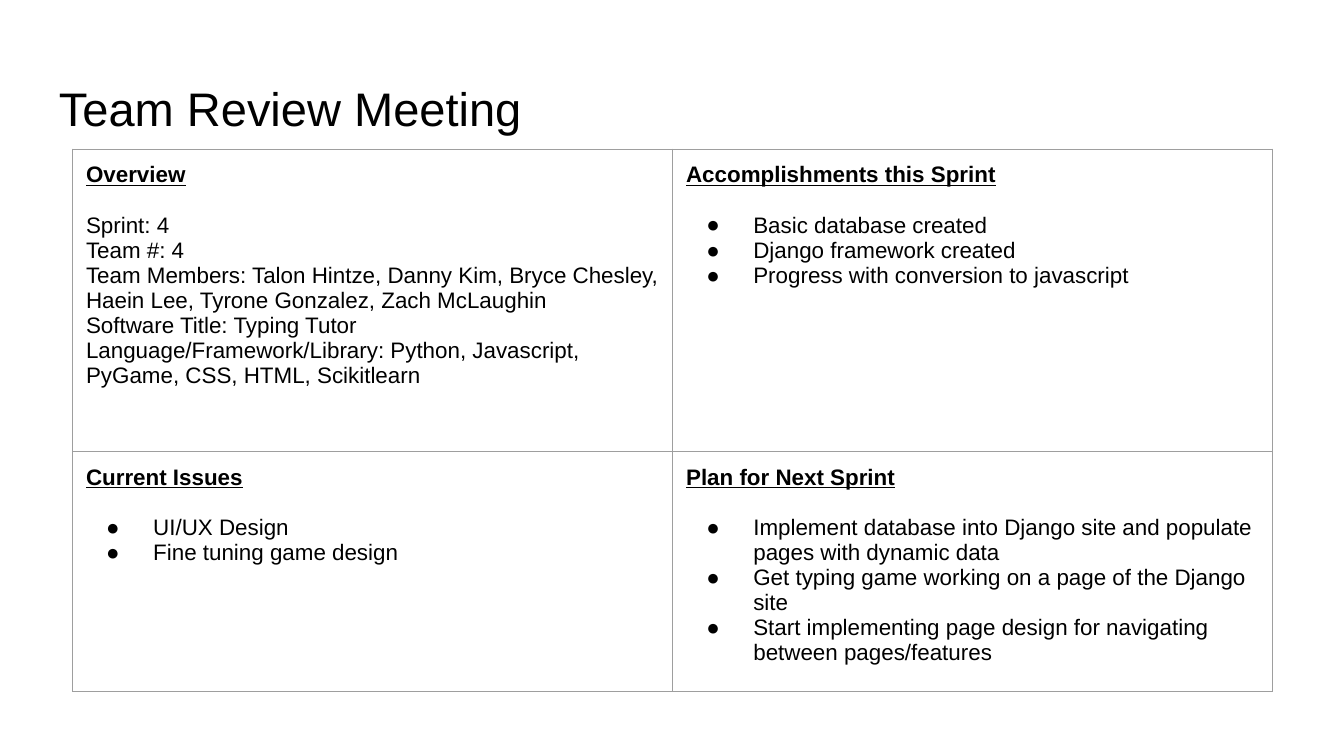
from lxml import etree
from pptx import Presentation
from pptx.dml.color import RGBColor
from pptx.enum.text import MSO_ANCHOR
from pptx.oxml.ns import qn
from pptx.util import Inches, Pt

BLACK = RGBColor(0, 0, 0)
GREY = RGBColor(0x9E, 0x9E, 0x9E)
FONT = "Arial"
PAD = 0.1

PANELS = [
    [
        ("Overview", False, [
            "Sprint: 4",
            "Team #: 4",
            "Team Members: Talon Hintze, Danny Kim, Bryce Chesley, "
            "Haein Lee, Tyrone Gonzalez, Zach McLaughin",
            "Software Title: Typing Tutor",
            "Language/Framework/Library: Python, Javascript, "
            "PyGame, CSS, HTML, Scikitlearn",
        ]),
        ("Accomplishments this Sprint", True, [
            "Basic database created",
            "Django framework created",
            "Progress with conversion to javascript",
        ]),
    ],
    [
        ("Current Issues", True, [
            "UI/UX Design",
            "Fine tuning game design",
        ]),
        ("Plan for Next Sprint", True, [
            "Implement database into Django site and populate pages with dynamic data",
            "Get typing game working on a page of the Django site",
            "Start implementing page design for navigating between pages/features",
        ]),
    ],
]


def style(para, size, head=False):
    for run in para.runs:
        font = run.font
        font.name = FONT
        font.size = Pt(size)
        font.color.rgb = BLACK
        font.bold = head
        font.underline = head
    etree.SubElement(para._p, qn("a:endParaRPr"), sz=str(round(size * 100)))


def pad(box):
    box.margin_left = box.margin_right = Inches(PAD)
    box.margin_top = box.margin_bottom = Inches(PAD)


def bullet(para):
    props = para._p.get_or_add_pPr()
    props.set("marL", str(Inches(0.5)))
    props.set("indent", str(Inches(-0.35)))
    color = etree.SubElement(props, qn("a:buClr"))
    etree.SubElement(color, qn("a:srgbClr"), val=str(BLACK))
    etree.SubElement(props, qn("a:buFont"), typeface=FONT)
    etree.SubElement(props, qn("a:buChar"), char="●")


def border(cell):
    props = cell._tc.get_or_add_tcPr()
    for i, side in enumerate(("lnL", "lnR", "lnT", "lnB")):
        line = etree.Element(qn(f"a:{side}"), w=str(Pt(0.75)))
        fill = etree.SubElement(line, qn("a:solidFill"))
        etree.SubElement(fill, qn("a:srgbClr"), val=str(GREY))
        props.insert(i, line)


def add_title(slide, text, left, top, width, height):
    box = slide.shapes.add_textbox(*map(Inches, (left, top, width, height)))
    frame = box.text_frame
    frame.word_wrap = True
    frame.vertical_anchor = MSO_ANCHOR.BOTTOM
    pad(frame)
    frame.text = text
    style(frame.paragraphs[0], 25.2)


def fill_panel(cell, head, listed, items):
    pad(cell)
    cell.fill.background()
    border(cell)
    frame = cell.text_frame
    frame.text = head
    first = frame.paragraphs[0]
    first.space_after = Pt(13.4)
    style(first, 12, head=True)
    for item in items:
        para = frame.add_paragraph()
        para.text = item
        style(para, 12)
        if listed:
            bullet(para)


def add_review(slide, panels, left, top, width, heights):
    size = map(Inches, (left, top, width, sum(heights)))
    table = slide.shapes.add_table(len(panels), len(panels[0]), *size).table
    table.first_row = table.horz_banding = False
    for r, row in enumerate(panels):
        table.rows[r].height = Inches(heights[r])
        for c, panel in enumerate(row):
            fill_panel(table.cell(r, c), *panel)


def main():
    deck = Presentation()
    deck.slide_width = Inches(10)
    deck.slide_height = deck.slide_width * 9 // 16
    slide = deck.slides.add_slide(deck.slide_layouts[6])
    add_title(slide, "Team Review Meeting", 0.34, 0.48, 9.32, 0.63)
    add_review(slide, PANELS, 0.54, 1.11, 8.93, (2.25, 1.69))
    deck.save("out.pptx")


if __name__ == "__main__":
    main()
